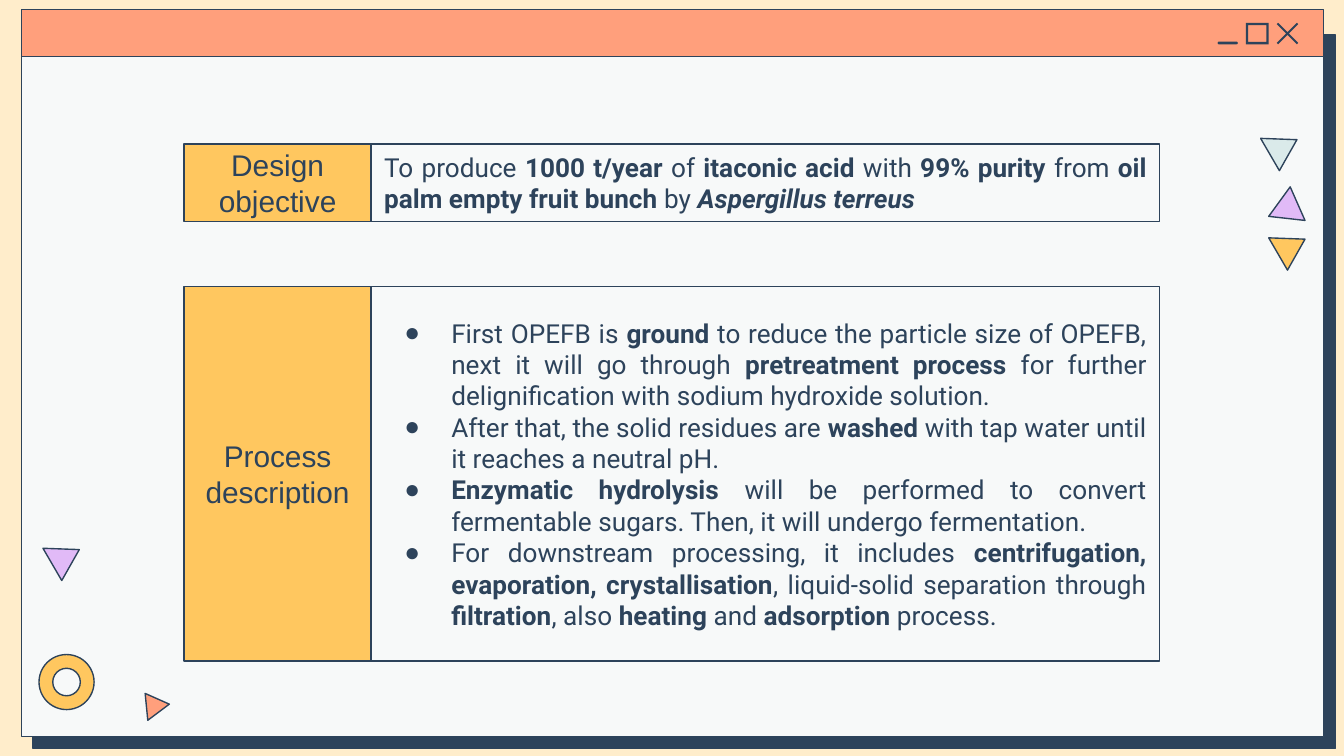
from lxml import etree
from pptx import Presentation
from pptx.dml.color import RGBColor
from pptx.enum.shapes import MSO_SHAPE as SHAPE
from pptx.enum.text import MSO_ANCHOR as ANCHOR, PP_ALIGN as ALIGN
from pptx.oxml.ns import qn
from pptx.util import Inches, Pt

NAVY = RGBColor(0x2D, 0x43, 0x5B)
CREAM = RGBColor(0xFF, 0xED, 0xCB)
PAPER = RGBColor(0xF7, 0xF9, 0xF9)
CORAL = RGBColor(0xFF, 0x9F, 0x7C)
YELLOW = RGBColor(0xFF, 0xC7, 0x5F)
LILAC = RGBColor(0xE1, 0xBA, 0xF7)
MINT = RGBColor(0xDA, 0xEA, 0xEA)

# Content: paragraphs are lists of (text, style), b = bold, i = italic
OBJECTIVE = [[
    ("To produce ", ""), ("1000 t/year", "b"), (" of ", ""),
    ("itaconic acid", "b"), (" with", ""), (" 99% purity", "b"),
    (" from ", ""), ("oil palm empty fruit bunch", "b"), (" by ", ""),
    ("Aspergillus terreus", "bi"),
]]
PROCESS = [
    [("First OPEFB is ", ""), ("ground", "b"),
     (" to reduce the particle size of OPEFB, next it will go through ", ""),
     ("pretreatment process", "b"),
     (" for further delignification with sodium hydroxide solution. ", "")],
    [("After that, the solid residues are ", ""), ("washed", "b"),
     (" with tap water until it reaches a neutral pH. ", "")],
    [("Enzymatic hydrolysis", "b"),
     (" will be performed to convert fermentable sugars. "
      "Then, it will undergo fermentation. ", "")],
    [("For downstream processing, it includes ", ""),
     ("centrifugation, evaporation, crystallisation", "b"),
     (", liquid-solid separation through ", ""), ("filtration", "b"),
     (", also ", ""), ("heating ", "b"), ("and ", ""),
     ("adsorption", "b"), (" process.", "")],
]
# Heading, paragraphs, bulleted, top, height
SECTIONS = [
    ("Design objective", OBJECTIVE, False, 1.07, 0.58),
    ("Process description", PROCESS, True, 2.13, 2.79),
]
LEFT, HEADING_WIDTH, BODY_WIDTH = 1.37, 1.39, 5.87

# Triangles pointing down share one outline, placed by their left corner
DOWN = [(0, 0), (0.14, 0.24), (0.27, 0.01)]
DOWN_PLACES = [(9.38, 1.03, MINT), (0.32, 4.08, LILAC), (9.44, 1.77, YELLOW)]
OTHER_TRIANGLES = [
    ([(1.08, 5.16), (1.1, 5.36), (1.26, 5.24)], CORAL),
    ([(9.6, 1.39), (9.44, 1.61), (9.71, 1.64)], LILAC),
]

prs = Presentation()
prs.slide_width = Inches(10)
prs.slide_height = prs.slide_width * 9 // 16
slide = prs.slides.add_slide(prs.slide_layouts[6])
slide.background.fill.solid()
slide.background.fill.fore_color.rgb = CREAM


def paint(shape, fill, outlined=True):
    shape.shadow.inherit = False
    shape.fill.solid()
    shape.fill.fore_color.rgb = fill
    if outlined:
        shape.line.color.rgb = NAVY
        shape.line.width = Pt(0.75)
    else:
        shape.line.fill.background()
    return shape


def add_preset(kind, box, fill, outlined=True, adjust=None):
    shape = slide.shapes.add_shape(kind, *map(Inches, box))
    if adjust is not None:
        shape.adjustments[0] = adjust
    return paint(shape, fill, outlined)


def add_polygon(points, fill, outlined=True):
    corners = [(Inches(x), Inches(y)) for x, y in points]
    builder = slide.shapes.build_freeform(*corners[0])
    builder.add_line_segments(corners[1:])
    return paint(builder.convert_to_shape(), fill, outlined)


def add_hard_shadow(shape, distance, degrees):
    effects = shape._element.spPr.find(qn("a:effectLst"))
    shadow = etree.SubElement(
        effects, qn("a:outerShdw"), blurRad="0", dist=str(Pt(distance)),
        dir=str(degrees * 60000), algn="bl", rotWithShape="0")
    etree.SubElement(shadow, qn("a:srgbClr"), val=str(NAVY))


def add_bullet(paragraph):
    props = paragraph._p.get_or_add_pPr()
    props.set("marL", str(Inches(0.5)))
    props.set("indent", str(Inches(-0.35)))
    color = etree.SubElement(props, qn("a:buClr"))
    etree.SubElement(color, qn("a:srgbClr"), val=str(NAVY))
    etree.SubElement(props, qn("a:buFont"), typeface="Arial")
    etree.SubElement(props, qn("a:buChar"), char="●")


def write(shape, paragraphs, font, size, align, bulleted=False):
    frame = shape.text_frame
    frame.word_wrap = True
    frame.vertical_anchor = ANCHOR.MIDDLE
    frame.margin_left = frame.margin_right = Inches(0.1)
    frame.margin_top = frame.margin_bottom = Inches(0.1)
    for i, runs in enumerate(paragraphs):
        paragraph = frame.add_paragraph() if i else frame.paragraphs[0]
        paragraph.alignment = align
        if bulleted:
            add_bullet(paragraph)
        for text, style in runs:
            run = paragraph.add_run()
            run.text = text
            run.font.name, run.font.size = font, Pt(size)
            run.font.color.rgb = NAVY
            run.font.bold = "b" in style
            run.font.italic = "i" in style


# Window with hard shadow and title bar
window = add_preset(SHAPE.RECTANGLE, (0.16, 0.17, 9.69, 5.31), PAPER)
add_hard_shadow(window, 9, 46)
add_preset(SHAPE.RECTANGLE, (0.16, 0.07, 9.69, 0.35), CORAL)

# Window buttons: maximise, minimise, close
add_preset(SHAPE.FRAME, (9.27, 0.17, 0.17, 0.16), NAVY, False, 0.11)
add_preset(SHAPE.ROUNDED_RECTANGLE, (9.06, 0.31, 0.15, 0.02), NAVY, False, 0.5)
CLOSE_X, CLOSE_Y, ARM, NOTCH = 9.58, 0.25, 0.08, 0.01
quarter = [(NOTCH, 0), (ARM, ARM - NOTCH), (ARM - NOTCH, ARM)]
cross = []
for _ in range(4):
    cross += [(CLOSE_X + x, CLOSE_Y + y) for x, y in quarter]
    quarter = [(-y, x) for x, y in quarter]
add_polygon(cross, NAVY, False)

# Decorations
for left, top, fill in DOWN_PLACES:
    add_polygon([(left + x, top + y) for x, y in DOWN], fill)
for points, fill in OTHER_TRIANGLES:
    add_polygon(points, fill)
add_preset(SHAPE.DONUT, (0.29, 4.87, 0.41, 0.41), YELLOW, adjust=0.25)

# Headings with their text panels
for heading, body, bulleted, top, height in SECTIONS:
    label = add_preset(SHAPE.RECTANGLE, (LEFT, top, HEADING_WIDTH, height), YELLOW)
    write(label, [[(heading, "")]], "Arial", 16, ALIGN.CENTER)
    panel = add_preset(
        SHAPE.RECTANGLE, (LEFT + HEADING_WIDTH, top, BODY_WIDTH, height), PAPER)
    write(panel, body, "Roboto", 14, ALIGN.JUSTIFY, bulleted)

prs.save("out.pptx")
